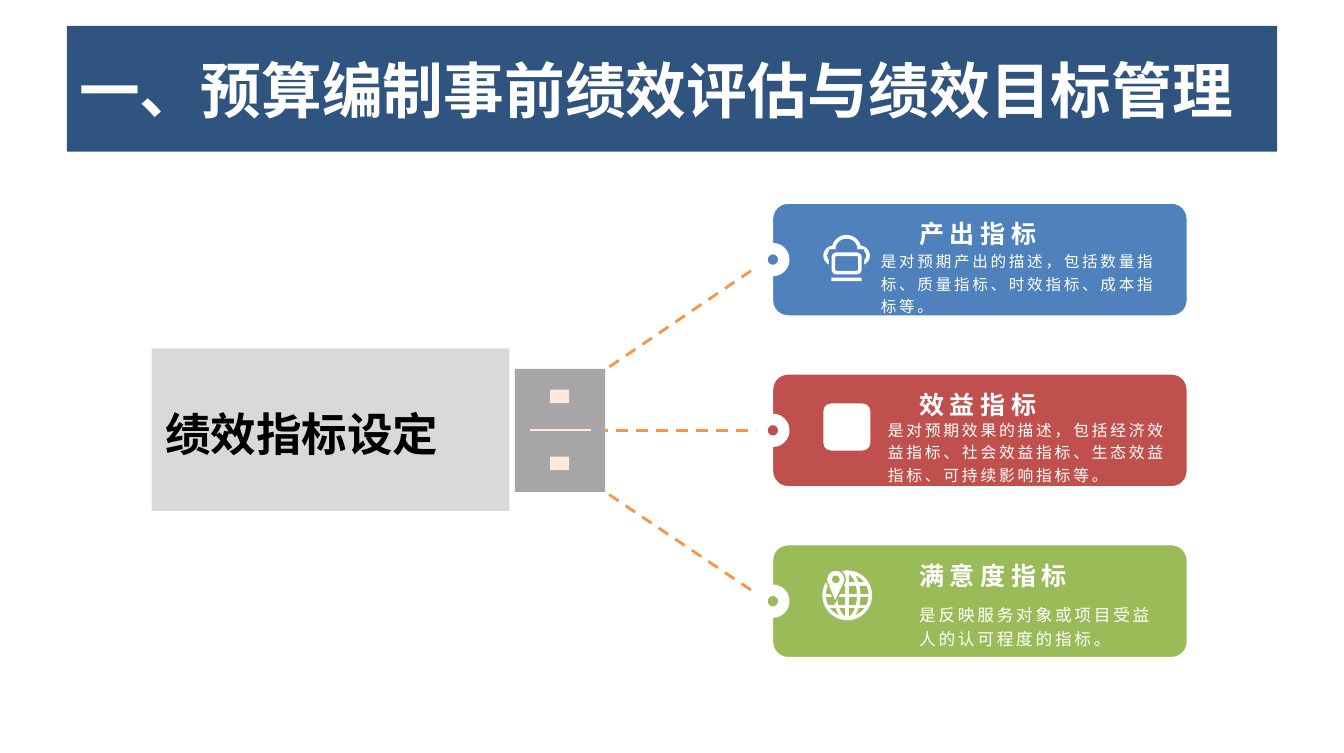
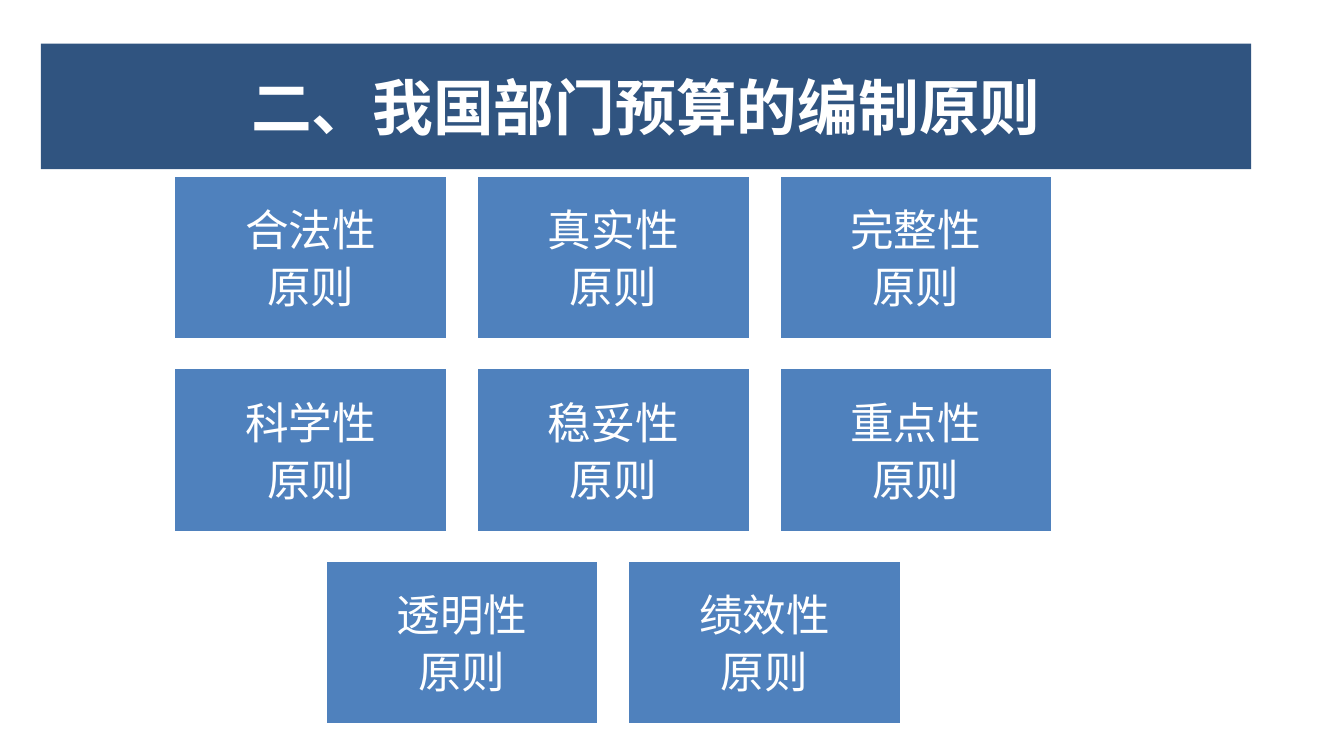
"""Build two slides on budget performance indicators and budgeting principles."""
import math
from dataclasses import dataclass

from lxml import etree
from pptx import Presentation
from pptx import util as u
from pptx.dml.color import RGBColor
from pptx.enum import dml, shapes, text
from pptx.oxml import ns

Pt = u.Pt
RECT = shapes.MSO_SHAPE.RECTANGLE
ROUND = shapes.MSO_SHAPE.ROUNDED_RECTANGLE
OVAL = shapes.MSO_SHAPE.OVAL


@dataclass(frozen=True)
class Theme:
    font: str = "Noto Sans CJK SC"
    latin: str = "Calibri"
    banner: str = "305480"
    white: str = "FFFFFF"
    black: str = "000000"
    blue: str = "4F81BD"
    red: str = "C0504D"
    green: str = "9BBB59"
    orange: str = "F79646"
    light: str = "D9D9D9"
    grey: str = "A6A6A6"
    cream: str = "FDEADA"
    title_size: float = 32
    topic_size: float = 24
    principle_size: float = 23
    heading_size: float = 13.2
    output_size: float = 8.2
    benefit_size: float = 8.3
    satisfaction_size: float = 8.8


def assign(target, values):
    for name, value in values.items():
        setattr(target, name, value)


class Deck:
    def __init__(self, theme, width, height):
        self.theme = theme
        self.file = Presentation()
        assign(self.file, {"slide_width": Pt(width), "slide_height": Pt(height)})
        self.slide = None

    def page(self):
        self.slide = self.file.slides.add_slide(self.file.slide_layouts[6])

    def paint(self, item, fill, line, weight):
        if fill:
            item.fill.solid()
            item.fill.fore_color.rgb = RGBColor.from_string(fill)
        else:
            item.fill.background()
        if line:
            item.line.color.rgb = RGBColor.from_string(line)
            item.line.width = Pt(weight)
        else:
            item.line.fill.background()
        item.shadow.inherit = False
        return item

    def box(self, preset, left, top, width, height, fill=None, line=None, weight=1):
        item = self.slide.shapes.add_shape(
            preset, Pt(left), Pt(top), Pt(width), Pt(height))
        return self.paint(item, fill, line, weight)

    def outline(self, points, fill, line=None, weight=1):
        corners = [(Pt(x), Pt(y)) for x, y in points]
        builder = self.slide.shapes.build_freeform(*corners[0])
        builder.add_line_segments(corners[1:], close=True)
        return self.paint(builder.convert_to_shape(), fill, line, weight)

    def line(self, start, end, color, weight, dash=None, joins=(None, None)):
        link = self.slide.shapes.add_connector(
            shapes.MSO_CONNECTOR.STRAIGHT, *map(Pt, start + end))
        link.line.color.rgb = RGBColor.from_string(color)
        assign(link.line, {"width": Pt(weight), "dash_style": dash})
        etree.SubElement(link._element.spPr, ns.qn("a:effectLst"))
        for join, target in zip((link.begin_connect, link.end_connect), joins):
            if target:
                join(*target)

    def put_text(self, item, lines, size, color, insets, bold=False, font=None,
                 spacing=0, frame=None, paragraph=None):
        sides = ("margin_left", "margin_top", "margin_right", "margin_bottom")
        assign(item.text_frame, {"word_wrap": True, **(frame or {}),
                                 **dict(zip(sides, map(Pt, insets)))})
        for number, words in enumerate(lines):
            part = (item.text_frame.add_paragraph() if number
                    else item.text_frame.paragraphs[0])
            assign(part, {"alignment": text.PP_ALIGN.LEFT, **(paragraph or {})})
            run = part.add_run()
            run.text = words
            assign(run.font, {"name": font or self.theme.font,
                              "size": Pt(size), "bold": bold})
            run.font.color.rgb = RGBColor.from_string(color)
            properties = run._r.get_or_add_rPr()
            properties.set("spc", str(int(spacing * 100)))
            etree.SubElement(properties, ns.qn("a:ea"), typeface=self.theme.font)

    def label(self, left, top, width, height, words, size, color, insets, **style):
        item = self.slide.shapes.add_textbox(
            Pt(left), Pt(top), Pt(width), Pt(height))
        self.put_text(item, [words], size, color, insets,
                      paragraph={"line_spacing": 1.2}, **style)

    def banner(self, left, top, words, alignment):
        item = self.box(RECT, left, top, 638, 66.2, self.theme.banner)
        self.put_text(item, [words], self.theme.title_size, self.theme.white,
                      (6.5, 3, 6.5, 3), bold=True,
                      frame={"vertical_anchor": text.MSO_ANCHOR.MIDDLE},
                      paragraph={"alignment": alignment})

    def cloud_icon(self, back):
        white = self.theme.white
        puffs = ((434, 129.4, 11, 10.6), (447.6, 129.4, 11, 10.6),
                 (438.5, 123.8, 15.5, 15))
        for inset, fill in ((0, white), (2, back)):
            for left, top, width, height in puffs:
                self.box(OVAL, left + inset, top + inset,
                         width - 2 * inset, height - 2 * inset, fill)
        self.box(RECT, 437, 131.5, 18.6, 14, back)
        self.box(ROUND, 439.3, 134, 14, 9.7, back, white, 1.9)
        self.box(ROUND, 438.3, 146.3, 16, 1.9, white)

    def globe_icon(self, back):
        white = self.theme.white
        x, y, radius = 446.6, 313.7, 12.2
        for half in (radius, radius / 2):
            self.box(OVAL, x - half, y - radius, 2 * half, 2 * radius,
                     line=white, weight=1.8)
        for offset in (-6, 0, 6):
            reach = math.sqrt(radius ** 2 - offset ** 2)
            self.line((x - reach, y + offset), (x + reach, y + offset), white, 1.8)
        self.line((x, y - radius), (x, y + radius), white, 1.8)
        pin_x, pin_y, head = 440.6, 305.3, 4.9
        turns = [math.radians(angle) for angle in range(160, 381, 10)]
        pin = [(pin_x + head * math.cos(turn), pin_y + head * math.sin(turn))
               for turn in turns]
        self.outline(pin + [(pin_x - 0.4, 317.5)], white, back, 0.8)
        self.box(OVAL, pin_x - 2, pin_y - 2, 4, 4, back)


def indicators(deck):
    theme = deck.theme
    deck.page()
    cards = (
        ("产出指标", "是对预期产出的描述，包括数量指标、质量指标、时效指标、成本指标等。",
         theme.blue, theme.output_size, 459.4, 131, 163.4),
        ("效益指标", "是对预期效果的描述，包括经济效益指标、社会效益指标、生态效益指标、可持续影响指标等。",
         theme.red, theme.benefit_size, 463, 219.6, 159.1),
        ("满意度指标", "是反映服务对象或项目受益人的认可程度的指标。",
         theme.green, theme.satisfaction_size, 479.5, 316.8, 142.6),
    )
    card_left, card_top, pitch, card_height = 404.6, 104.4, 90, 64.8
    tops = [card_top + pitch * row for row in range(3)]
    panels = [deck.box(ROUND, card_left, top, 224, card_height, card[2],
                       theme.white, 6) for top, card in zip(tops, cards)]
    deck.box(RECT, 79.9, 183.6, 188.6, 85.7, theme.light)
    plug = deck.box(RECT, 271.4, 194.4, 47.6, card_height, theme.grey)
    ends = ((319, 194.8), (319, 226.8), (319, 259.2))
    for row, (panel, end) in enumerate(zip(panels, ends)):
        deck.line((card_left, tops[row] + card_height / 2), end, theme.orange, 1.5,
                  dml.MSO_LINE.DASH,
                  ((panel, 1), (plug, 3) if row == 1 else None))
    for contact_top in (205.3, 240.6):
        deck.box(RECT, 290, contact_top, 10, 7.2, theme.cream)
    deck.line((279.6, 226.8), (311.6, 226.8), theme.cream, 1)
    for top, (heading, detail, color, size, left, detail_top, width) in zip(tops, cards):
        deck.box(OVAL, 401.7, top + card_height / 2 - 5.75, 11.5, 11.5,
                 color, theme.white, 6)
        deck.label(left, detail_top, width, 28, detail, size, theme.white,
                   (5, 0, 5, 3), spacing=1.5)
        deck.label(479.5, top + 4.6, 142.6, 23.8, heading, theme.heading_size,
                   theme.white, (5, 3, 5, 0), bold=True, spacing=3)
    deck.cloud_icon(theme.blue)
    deck.box(ROUND, 434, 212.6, 24.8, 24.8, theme.white)
    deck.globe_icon(theme.green)
    deck.label(82, 205.2, 183.6, 23.8, "绩效指标设定", theme.topic_size,
               theme.black, (5, 3, 5, 0), bold=True, font=theme.latin)
    deck.banner(35.3, 13.7, "一、预算编制事前绩效评估与绩效目标管理", text.PP_ALIGN.LEFT)


def principles(deck):
    theme = deck.theme
    deck.page()
    rows = (("合法性", "真实性", "完整性"), ("科学性", "稳妥性", "重点性"),
            ("透明性", "绩效性"))
    middle, top, width, height, step_x, step_y = 323.3, 92.3, 144.7, 87, 159.5, 101.4
    for row, names in enumerate(rows):
        left = middle - width / 2 - step_x * (len(names) - 1) / 2
        for column, name in enumerate(names):
            tile = deck.box(RECT, left + step_x * column, top + step_y * row,
                            width, height, theme.blue, theme.white, 2)
            deck.put_text(tile, [name, "原则"], theme.principle_size, theme.white,
                          (7.2,) * 4, font=theme.latin,
                          frame={"vertical_anchor": text.MSO_ANCHOR.MIDDLE},
                          paragraph={"alignment": text.PP_ALIGN.CENTER,
                                     "space_after": Pt(2.5)})
    deck.banner(21.6, 23, "二、我国部门预算的编制原则", text.PP_ALIGN.CENTER)


def main():
    deck = Deck(Theme(), 708.5, 396.8)
    indicators(deck)
    principles(deck)
    deck.file.save("out.pptx")


if __name__ == "__main__":
    main()
